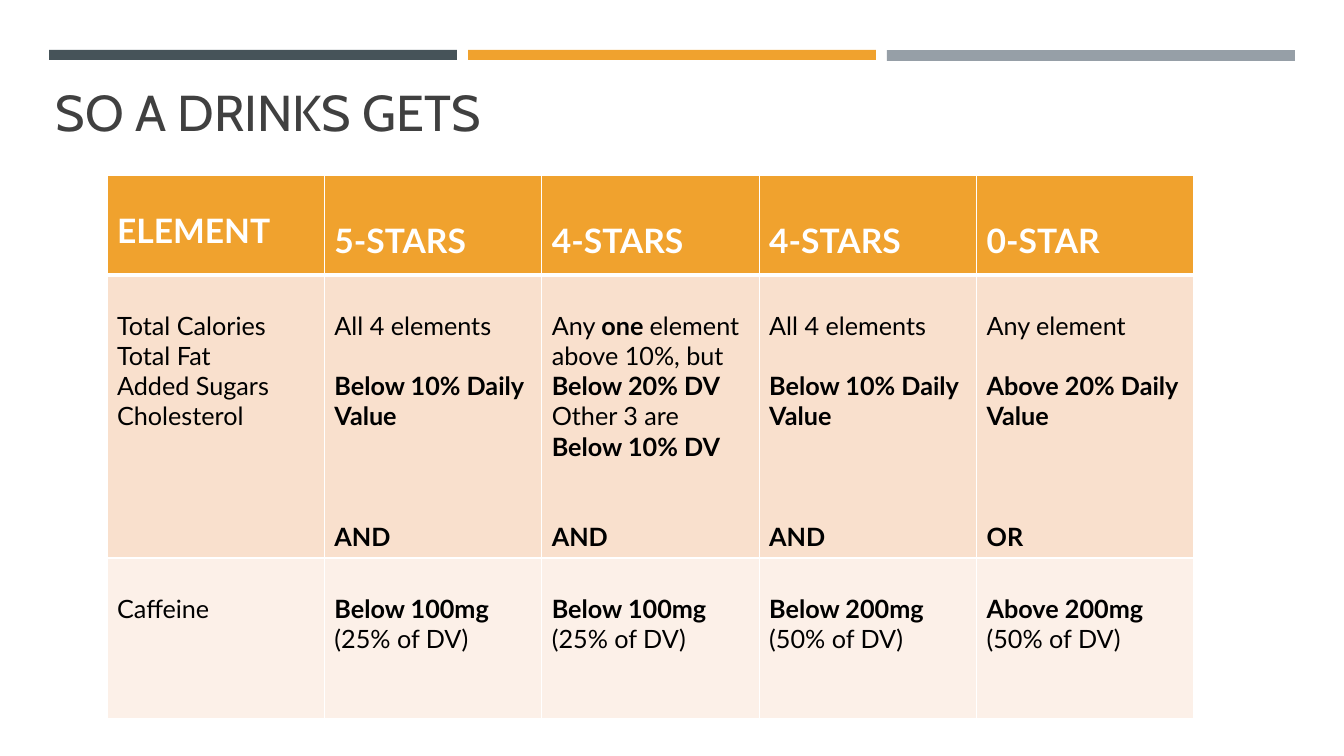
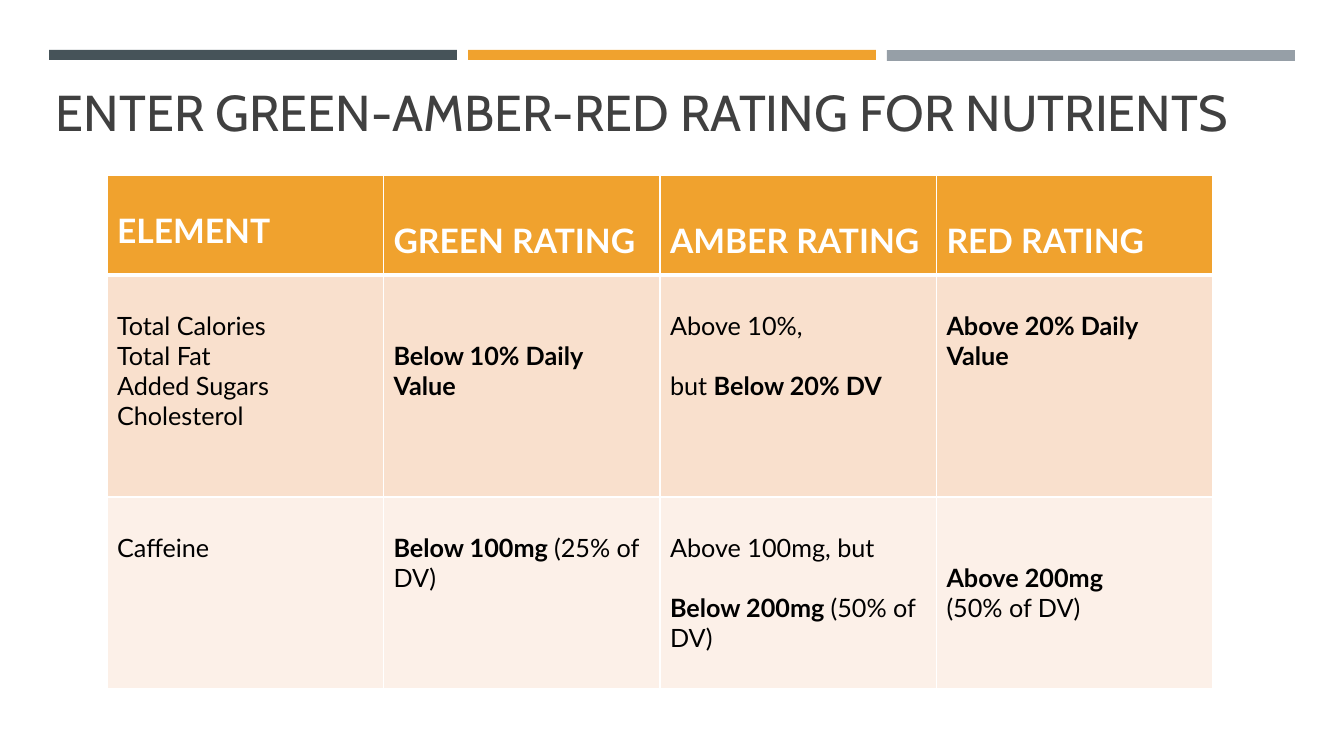
from dataclasses import dataclass

import lxml.etree
import pptx
import pptx.dml.color
import pptx.enum.shapes
import pptx.enum.text
import pptx.oxml.ns
import pptx.presentation
import pptx.slide
import pptx.table
import pptx.text.text
import pptx.util

COLORS = {
    "slate": "465359",
    "amber": "F0A22E",
    "gray": "969FA7",
    "title": "404040",
    "white": "FFFFFF",
    "black": "000000",
    "peach": "F9E0CD",
    "cream": "FCF0E8",
}
TITLE_FONT = "Cabin"
BODY_FONT = "Lato"
TITLE_SIZE = 36
HEADER_SIZE = 24
BODY_SIZE = 18
LINE_FACTOR = 1.2
PIXELS_PER_INCH = 100.8
CELL_INSET = 5
TABLE_LEFT = 107
TABLE_TOP = 175


@dataclass(frozen=True)
class Box:
    left: int
    top: int
    width: int
    height: int


@dataclass(frozen=True)
class Band:
    box: Box
    color: str


@dataclass(frozen=True)
class Line:
    text: str
    gap: int = 0


Cell = tuple[Line, ...]


@dataclass(frozen=True)
class RatingSlide:
    title: str
    table_width: int
    row_heights: tuple[int, ...]
    headers: tuple[str, ...]
    body: tuple[tuple[Cell, ...], ...]


BANDS = [
    Band(Box(49 + 419 * index, 50, 408, height), color)
    for index, (color, height) in enumerate((("slate", 10), ("amber", 10), ("gray", 11)))
]
TITLE_BOX = Box(46, 16, 1216, 131)


def pixels(value: float) -> pptx.util.Emu:
    return pptx.util.Emu(round(value * pptx.util.Inches(1) / PIXELS_PER_INCH))


def blank_lines(count: int, size: int) -> pptx.util.Length:
    return pptx.util.Pt(round(count * size * LINE_FACTOR, 1))


def rgb(color: str) -> pptx.dml.color.RGBColor:
    return pptx.dml.color.RGBColor.from_string(COLORS[color])


def place(box: Box) -> tuple[pptx.util.Emu, ...]:
    return tuple(pixels(value) for value in (box.left, box.top, box.width, box.height))


def add_run(paragraph: pptx.text.text._Paragraph, text: str, font_name: str,
            size: int, color: str, bold: bool = False) -> None:
    run = paragraph.add_run()
    run.text = text
    run.font.name = font_name
    run.font.size = pptx.util.Pt(size)
    run.font.bold = bold
    run.font.color.rgb = rgb(color)


def draw_band(slide: pptx.slide.Slide, band: Band) -> None:
    shape = slide.shapes.add_shape(
        pptx.enum.shapes.MSO_SHAPE.RECTANGLE, *place(band.box))
    shape.shadow.inherit = False
    shape.fill.solid()
    shape.fill.fore_color.rgb = rgb(band.color)
    shape.line.fill.background()


def draw_title(slide: pptx.slide.Slide, title: str) -> None:
    text_frame = slide.shapes.add_textbox(*place(TITLE_BOX)).text_frame
    text_frame.word_wrap = True
    text_frame.vertical_anchor = pptx.enum.text.MSO_ANCHOR.BOTTOM
    add_run(text_frame.paragraphs[0], title, TITLE_FONT, TITLE_SIZE, "title")


def set_borders(cell: pptx.table._Cell, top: int, bottom: int) -> None:
    properties = cell._tc.get_or_add_tcPr()
    for side, width in (("L", 1), ("R", 1), ("T", top), ("B", bottom)):
        border = lxml.etree.SubElement(
            properties, pptx.oxml.ns.qn(f"a:ln{side}"), w=str(pptx.util.Pt(width)))
        fill = lxml.etree.SubElement(border, pptx.oxml.ns.qn("a:solidFill"))
        lxml.etree.SubElement(
            fill, pptx.oxml.ns.qn("a:srgbClr"), val=COLORS["white"])


def fill_cell(cell: pptx.table._Cell, lines: Cell, size: int, color: str) -> None:
    text_frame = cell.text_frame
    for index, line in enumerate(lines):
        paragraph = text_frame.add_paragraph() if index else text_frame.paragraphs[0]
        if index:
            paragraph.space_before = blank_lines(line.gap, size)
        for position, text in enumerate(line.text.split("*")):
            if text:
                add_run(paragraph, text, BODY_FONT, size, color, position % 2 == 1)


def draw_table(slide: pptx.slide.Slide, content: RatingSlide) -> None:
    box = Box(TABLE_LEFT, TABLE_TOP, content.table_width, sum(content.row_heights))
    column_count = len(content.headers)
    table = slide.shapes.add_table(
        len(content.row_heights), column_count, *place(box)).table
    for column in table.columns:
        column.width = pixels(content.table_width / column_count)
    for row, height in zip(table.rows, content.row_heights):
        row.height = pixels(height)

    header_cells = tuple((Line(f"*{header}*", 1),) for header in content.headers)
    fills = ("amber", "peach", "cream")
    for row_index, row_cells in enumerate((header_cells, *content.body)):
        is_header = row_index == 0
        size = HEADER_SIZE if is_header else BODY_SIZE
        for column_index, lines in enumerate(row_cells):
            cell = table.cell(row_index, column_index)
            gap_size = size if column_index else BODY_SIZE
            cell.margin_top = pixels(CELL_INSET) + blank_lines(lines[0].gap, gap_size)
            set_borders(cell, 3 if row_index == 1 else 1, 3 if is_header else 1)
            cell.fill.solid()
            cell.fill.fore_color.rgb = rgb(fills[row_index])
            fill_cell(cell, lines, size, "white" if is_header else "black")


def draw_slide(presentation: pptx.presentation.Presentation, content: RatingSlide) -> None:
    slide = presentation.slides.add_slide(presentation.slide_layouts[6])
    for band in BANDS:
        draw_band(slide, band)
    draw_title(slide, content.title)
    draw_table(slide, content)


def all_elements(limit: str, conjunction: str, subject: str = "All 4 elements") -> Cell:
    return Line(subject, 1), Line(f"*{limit} Daily Value*", 1), Line(f"*{conjunction}*", 3)


def caffeine(limit: str, share: int) -> Cell:
    return (Line(f"*{limit} *({share}% of DV)", 1),)


NUTRIENTS: Cell = (
    Line("Total Calories", 1),
    Line("Total Fat"),
    Line("Added Sugars"),
    Line("Cholesterol"),
)
CAFFEINE: Cell = (Line("Caffeine", 1),)

SLIDES = (
    RatingSlide(
        title="SO A DRINKS GETS",
        table_width=1087,
        row_heights=(100, 283, 161),
        headers=("ELEMENT", "5-STARS", "4-STARS", "4-STARS", "0-STAR"),
        body=(
            (
                NUTRIENTS,
                all_elements("Below 10%", "AND"),
                (
                    Line("Any *one *element above 10%, but *Below 20% DV*", 1),
                    Line("Other 3 are *Below 10% DV*"),
                    Line("*AND*", 2),
                ),
                all_elements("Below 10%", "AND"),
                all_elements("Above 20%", "OR", "Any element "),
            ),
            (
                CAFFEINE,
                caffeine("Below 100mg", 25),
                caffeine("Below 100mg", 25),
                caffeine("Below 200mg", 50),
                caffeine("Above 200mg", 50),
            ),
        ),
    ),
    RatingSlide(
        title="ENTER GREEN-AMBER-RED RATING FOR NUTRIENTS",
        table_width=1106,
        row_heights=(100, 222, 192),
        headers=("ELEMENT", "GREEN RATING", "AMBER RATING", "RED RATING"),
        body=(
            (
                NUTRIENTS,
                (Line("*Below 10% Daily Value*", 2),),
                (Line("Above 10%, ", 1), Line("but *Below 20% DV*", 1)),
                (Line("*Above 20% Daily Value*", 1),),
            ),
            (
                CAFFEINE,
                caffeine("Below 100mg", 25),
                (Line("Above 100mg, but ", 1), *caffeine("Below 200mg", 50)),
                (Line("*Above 200mg *", 2), Line("(50% of DV)")),
            ),
        ),
    ),
)


def main() -> None:
    presentation = pptx.Presentation()
    presentation.slide_width = pixels(1344)
    presentation.slide_height = pixels(756)
    for content in SLIDES:
        draw_slide(presentation, content)
    presentation.save("out.pptx")


main()
